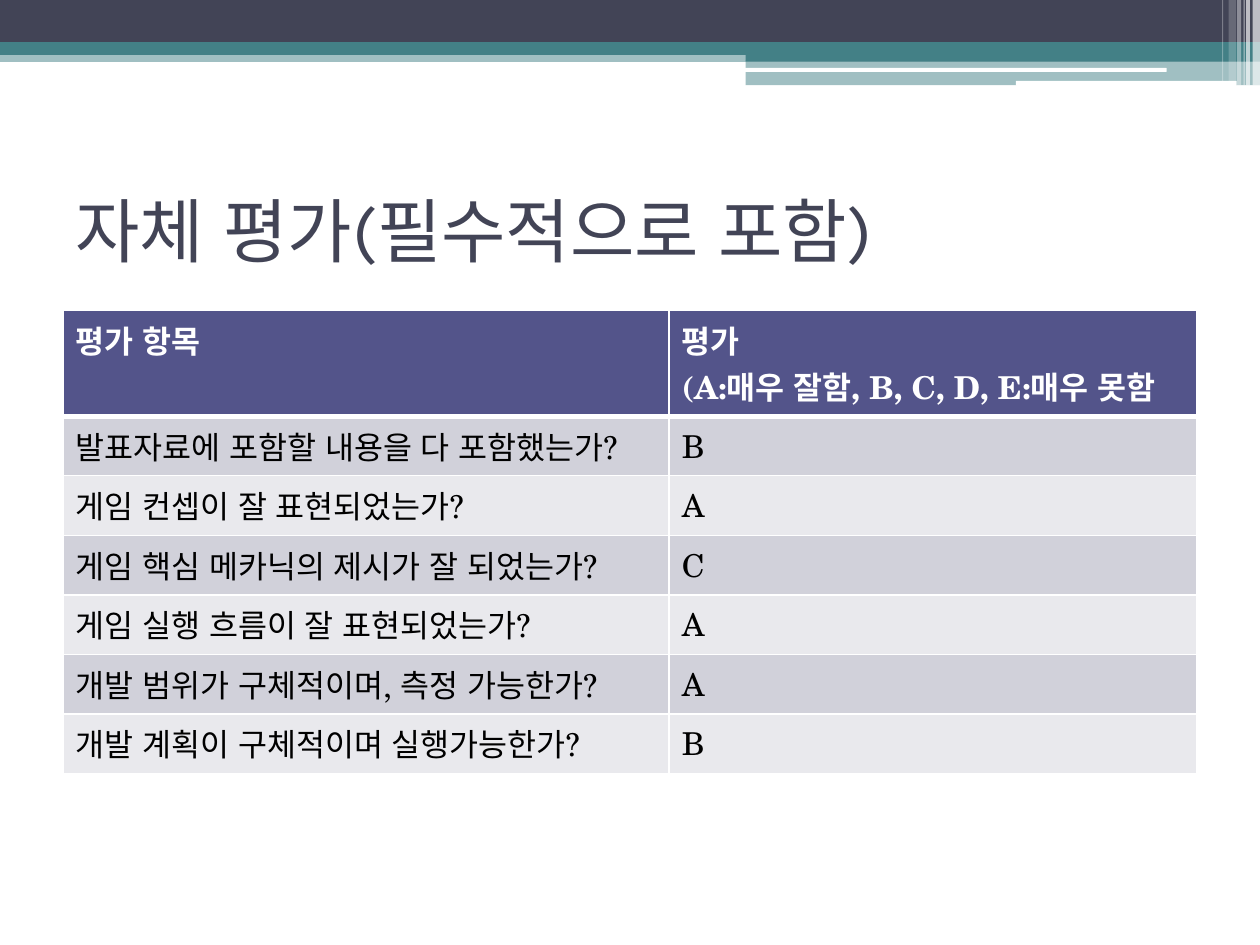
from lxml.etree import SubElement
from pptx import Presentation
from pptx.dml.color import RGBColor
from pptx.enum.lang import MSO_LANGUAGE_ID
from pptx.enum.shapes import MSO_SHAPE
from pptx.enum.text import MSO_ANCHOR
from pptx.oxml.ns import qn
from pptx.util import Cm, Pt

NAVY, TEAL, WHITE, BLACK = "424456", "438086", "FFFFFF", "000000"
HEADER_FILL, BAND_FILLS = "53548A", ("D1D1DA", "E9E9ED")
TITLE_FONT, TABLE_FONT = "Karla", "TeX Gyre Schola"

TITLE = "자체 평가(필수적으로 포함)"
ROWS = [
    ("평가 항목", "평가\n(A:매우 잘함, B, C, D, E:매우 못함"),
    ("발표자료에 포함할 내용을 다 포함했는가?", "B"),
    ("게임 컨셉이 잘 표현되었는가?", "A"),
    ("게임 핵심 메카닉의 제시가 잘 되었는가?", "C"),
    ("게임 실행 흐름이 잘 표현되었는가?", "A"),
    ("개발 범위가 구체적이며, 측정 가능한가?", "A"),
    ("개발 계획이 구체적이며 실행가능한가?", "B"),
]
COLUMN_WIDTHS = (12.22, 10.64)
HEADER_HEIGHT, BODY_HEIGHT = 2.13, 1.2

# left, top, width, height in cm, colour, opacity in percent
BANDS = [
    (0, 1.02, 25.4, 0.23, TEAL, 50),
    (0, 0, 25.4, 0.86, NAVY, 100),
    (0, 0.85, 25.4, 0.26, TEAL, 100),
    (15.03, 0.99, 10.37, 0.25, TEAL, 100),
    (15.03, 1.22, 10.37, 0.5, TEAL, 50),
]
ROUNDED_LINES = [
    (15.01, 1.37, 8.51, 0.08, WHITE, 100),
    (20.48, 1.63, 4.45, 0.1, WHITE, 100),
]
# left, width, height in cm, opacity in percent
STRIPES = [
    (25.25, 0.15, 1.73, 65),
    (25.12, 0.08, 1.73, 65),
    (25.07, 0.02, 1.73, 60),
    (24.94, 0.08, 1.73, 40),
    (24.77, 0.15, 1.63, 20),
    (24.64, 0.02, 1.63, 30),
]


def rgb(hex_colour):
    return RGBColor.from_string(hex_colour)


def write_text(text_frame, text, font, size, colour, bold=False):
    """Write one paragraph for each line of text."""
    for number, line in enumerate(text.split("\n")):
        paragraph = text_frame.add_paragraph() if number else text_frame.paragraphs[0]
        run = paragraph.add_run()
        run.text = line
        run.font.name = font
        run.font.size = Pt(size)
        run.font.bold = bold
        run.font.color.rgb = rgb(colour)
        run.font.language_id = MSO_LANGUAGE_ID.KOREAN


def add_block(slide, kind, left, top, width, height, colour, opacity):
    shape = slide.shapes.add_shape(kind, Cm(left), Cm(top), Cm(width), Cm(height))
    shape.shadow.inherit = False
    shape.line.fill.background()
    shape.fill.solid()
    shape.fill.fore_color.rgb = rgb(colour)
    if opacity < 100:
        colour_element = shape.fill._xPr.find(".//" + qn("a:srgbClr"))
        SubElement(colour_element, qn("a:alpha"), val=str(opacity * 1000))


def set_borders(cell, bottom_width, top_width):
    properties = cell._tc.get_or_add_tcPr()
    widths = {"lnL": 1, "lnR": 1, "lnT": top_width, "lnB": bottom_width}
    for side, width in widths.items():
        line = SubElement(properties, qn("a:" + side), w=str(Pt(width)))
        fill = SubElement(line, qn("a:solidFill"))
        SubElement(fill, qn("a:srgbClr"), val=WHITE)


def add_decoration(slide):
    for band in BANDS:
        add_block(slide, MSO_SHAPE.RECTANGLE, *band)
    for line in ROUNDED_LINES:
        add_block(slide, MSO_SHAPE.ROUNDED_RECTANGLE, *line)
    for left, width, height, opacity in STRIPES:
        add_block(slide, MSO_SHAPE.RECTANGLE, left, 0, width, height, WHITE, opacity)


def add_title(slide):
    box = slide.shapes.add_textbox(Cm(1.27), Cm(3.15), Cm(22.86), Cm(2.97))
    box.text_frame.word_wrap = True
    box.text_frame.vertical_anchor = MSO_ANCHOR.MIDDLE
    write_text(box.text_frame, TITLE, font=TITLE_FONT, size=40, colour=NAVY)


def add_evaluation_table(slide):
    row_heights = [HEADER_HEIGHT] + [BODY_HEIGHT] * (len(ROWS) - 1)
    table = slide.shapes.add_table(
        len(ROWS), len(COLUMN_WIDTHS), Cm(1.27), Cm(6.26),
        Cm(sum(COLUMN_WIDTHS)), Cm(sum(row_heights)),
    ).table
    for column, width in zip(table.columns, COLUMN_WIDTHS):
        column.width = Cm(width)
    for row_number, texts in enumerate(ROWS):
        is_header = row_number == 0
        table.rows[row_number].height = Cm(row_heights[row_number])
        for column_number, text in enumerate(texts):
            cell = table.cell(row_number, column_number)
            set_borders(cell, bottom_width=3 if is_header else 1,
                        top_width=3 if row_number == 1 else 1)
            cell.fill.solid()
            cell.fill.fore_color.rgb = rgb(
                HEADER_FILL if is_header else BAND_FILLS[(row_number - 1) % 2])
            write_text(cell.text_frame, text, font=TABLE_FONT, size=18,
                       colour=WHITE if is_header else BLACK, bold=is_header)


def main():
    presentation = Presentation()
    presentation.slide_width, presentation.slide_height = Cm(25.4), Cm(19.05)
    slide = presentation.slides.add_slide(presentation.slide_layouts[6])
    add_decoration(slide)
    add_title(slide)
    add_evaluation_table(slide)
    presentation.save("out.pptx")


if __name__ == "__main__":
    main()
